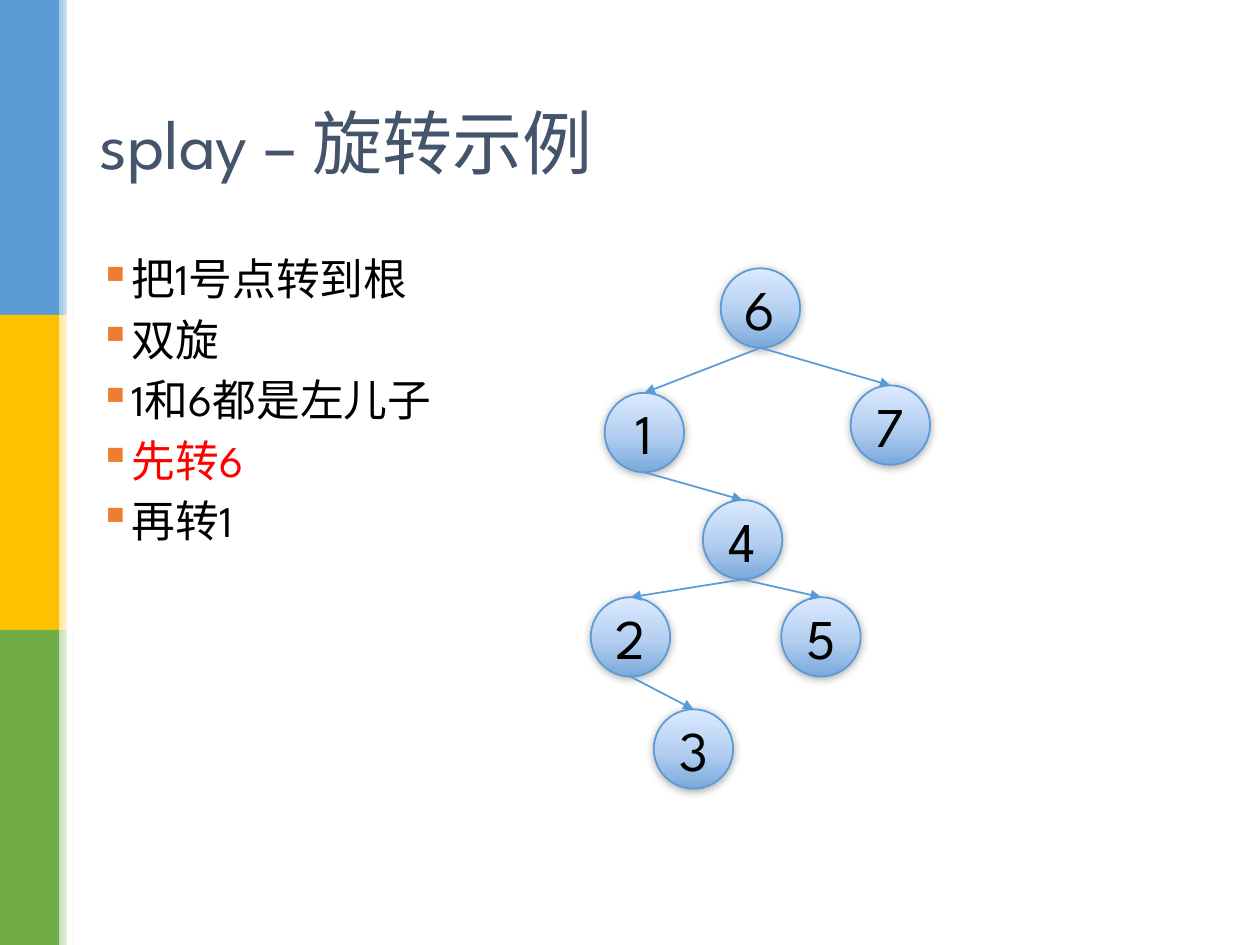
import pptx
import pptx.dml.color
import pptx.enum.shapes
import pptx.enum.text
import pptx.oxml.ns
import pptx.util
from lxml import etree

Cm, Pt = pptx.util.Cm, pptx.util.Pt
qn = pptx.oxml.ns.qn
SHAPE = pptx.enum.shapes.MSO_SHAPE
ALIGN = pptx.enum.text.PP_ALIGN
ANCHOR = pptx.enum.text.MSO_ANCHOR


def color(hex_code):
    return pptx.dml.color.RGBColor.from_string(hex_code)


def add_xml(parent, tag, **attributes):
    return etree.SubElement(parent, qn(tag), attributes)


def apply(target, values):
    for name, value in values.items():
        setattr(target, name, value)


class Deck:
    font = "League Spartan"
    edge_color = "5B9BD5"
    bullet_color = "ED7D31"
    node_stops = [(0, "7AA9DA"), (48, "B6D0F2"), (100, "DCEAFF")]
    node_size = 1.6
    bullet_format = {"line_spacing": 0.9, "space_before": Pt(7.5)}

    def __init__(self, width, height):
        self.prs = pptx.Presentation()
        apply(self.prs, {"slide_width": Cm(width), "slide_height": Cm(height)})
        self.slide = self.prs.slides.add_slide(self.prs.slide_layouts[6])

    def shape(self, kind, left, top, width, height, fill, angle=0):
        """Fill is a hex string, or a list of (percent, hex) gradient stops."""
        shape = self.slide.shapes.add_shape(
            kind, Cm(left), Cm(top), Cm(width), Cm(height))
        shape.shadow.inherit = False
        shape.line.fill.background()
        if isinstance(fill, str):
            shape.fill.solid()
            shape.fill.fore_color.rgb = color(fill)
            return shape
        shape.fill.gradient()
        shape.fill.gradient_angle = angle
        stops = shape.element.spPr.find(".//" + qn("a:gsLst"))
        for stop in list(stops):
            stops.remove(stop)
        for percent, hex_code in fill:
            stop = add_xml(stops, "a:gs", pos=str(percent * 1000))
            add_xml(stop, "a:srgbClr", val=hex_code)
        return shape

    def run(self, paragraph, text, size, hex_code):
        run = paragraph.add_run()
        run.text = text
        apply(run.font, {"name": self.font, "size": Pt(size)})
        run.font.color.rgb = color(hex_code)

    def text_frame(self, left, top, width, height, anchor):
        frame = self.slide.shapes.add_textbox(
            Cm(left), Cm(top), Cm(width), Cm(height)).text_frame
        apply(frame, {"word_wrap": True, "vertical_anchor": anchor})
        return frame

    def bullets(self, frame, items, size):
        for index, (text, hex_code) in enumerate(items):
            paragraph = frame.add_paragraph() if index else frame.paragraphs[0]
            apply(paragraph, self.bullet_format)
            self.run(paragraph, text, size, hex_code)
            properties = paragraph._p.get_or_add_pPr()
            properties.set("marL", str(Cm(0.48)))
            properties.set("indent", str(-Cm(0.48)))
            bullet = add_xml(properties, "a:buClr")
            add_xml(bullet, "a:srgbClr", val=self.bullet_color)
            add_xml(properties, "a:buChar", char="▪")

    def node(self, label, left, top):
        node = self.shape(SHAPE.OVAL, left, top, self.node_size,
                          self.node_size, self.node_stops, angle=90)
        node.line.color.rgb = color(self.edge_color)
        node.line.width = Pt(1)
        effects = node.element.spPr.find(qn("a:effectLst"))
        shadow = add_xml(effects, "a:outerShdw", blurRad=str(Pt(5)),
                         dist=str(Pt(1)), dir="5400000", rotWithShape="0")
        black = add_xml(shadow, "a:srgbClr", val="000000")
        add_xml(black, "a:alpha", val="32000")
        node.text_frame.vertical_anchor = ANCHOR.MIDDLE
        paragraph = node.text_frame.paragraphs[0]
        paragraph.alignment = ALIGN.CENTER
        self.run(paragraph, label, 32, "000000")

    def edge(self, parent, child):
        """Arrow from the bottom of the parent to the top of the child."""
        radius = self.node_size / 2
        edge = self.slide.shapes.add_connector(
            pptx.enum.shapes.MSO_CONNECTOR.STRAIGHT,
            Cm(parent[0] + radius), Cm(parent[1] + self.node_size),
            Cm(child[0] + radius), Cm(child[1]))
        edge.line.color.rgb = color(self.edge_color)
        edge.line.width = Pt(1)
        properties = edge._element.spPr
        add_xml(properties.find(qn("a:ln")), "a:tailEnd", type="triangle")
        add_xml(properties, "a:effectLst")


def main():
    deck = Deck(25.4, 19.05)

    # Side band: three colours, each fading out to the right
    band_height = 19.05 / 3
    bands = [("5B9BD5", "9DC3E6"), ("FFC000", "FFE699"), ("70AD47", "C5E0B4")]
    for row, (band, fade) in enumerate(bands):
        top = row * band_height
        deck.shape(SHAPE.RECTANGLE, 0, top, 1.2, band_height, band)
        deck.shape(SHAPE.RECTANGLE, 1.2, top, 0.3, band_height,
                   [(0, fade), (100, "FFFFFF")])
    deck.shape(SHAPE.RECTANGLE, 1.35, 0, 0.1, 19.05, "FFFFFF")

    # Title
    title = deck.text_frame(1.75, 1.02, 21.9, 3.68, ANCHOR.MIDDLE)
    deck.run(title.paragraphs[0], "splay – 旋转示例", 40, "44546A")

    # Tree
    tree = {
        "1": (12.19, 7.92), "2": (11.91, 12.04), "3": (13.18, 14.3),
        "4": (14.17, 10.08), "5": (15.75, 12.04), "6": (14.53, 5.41),
        "7": (17.15, 7.77),
    }
    for label, (left, top) in tree.items():
        deck.node(label, left, top)
    for parent, child in ("42", "23", "14", "45", "61", "67"):
        deck.edge(tree[parent], tree[child])

    # Steps
    steps = [("把1号点转到根", "000000"), ("双旋", "000000"),
             ("1和6都是左儿子", "000000"), ("先转6", "FF0000"),
             ("再转1", "000000")]
    body = deck.text_frame(1.75, 5.08, 21.9, 13.08, ANCHOR.TOP)
    deck.bullets(body, steps, 25)

    deck.prs.save("out.pptx")


if __name__ == "__main__":
    main()
